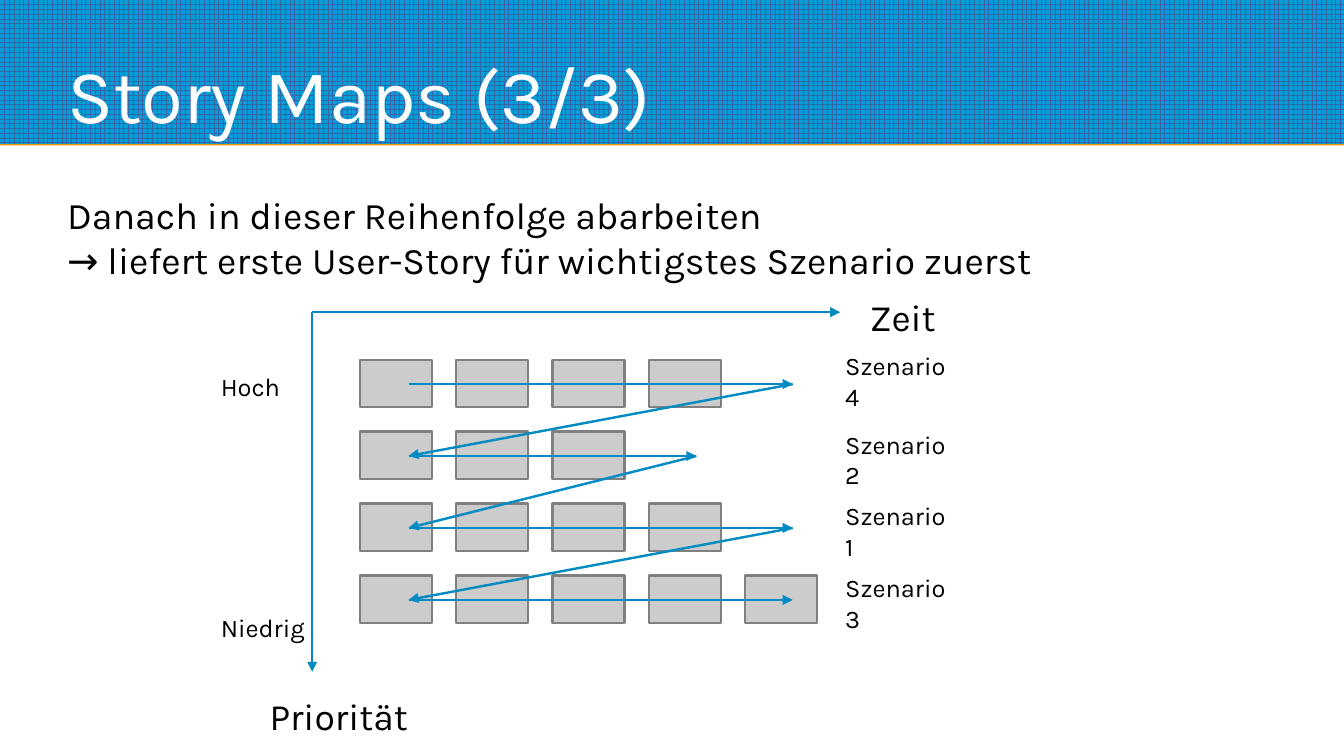
"""Build the story map slide with its scenario rows and reading order."""
from dataclasses import dataclass
from itertools import pairwise

from lxml.etree import SubElement as Sub
from pptx import Presentation
from pptx.dml.color import RGBColor
from pptx.enum.dml import MSO_PATTERN as Pattern
from pptx.enum.shapes import MSO_CONNECTOR as Link, MSO_SHAPE as Shape
from pptx.enum.text import MSO_ANCHOR as Anchor
from pptx.oxml.ns import qn
from pptx.shapes.autoshape import Shape as Box
from pptx.slide import Slide
from pptx.util import Inches, Pt

WHITE = RGBColor(0xFF, 0xFF, 0xFF)
BLACK = RGBColor(0x00, 0x00, 0x00)
BLUE = RGBColor(0x00, 0x9E, 0xDA)
NAVY = RGBColor(0x34, 0x65, 0xA4)
ARROW = RGBColor(0x00, 0x8A, 0xC2)
ORANGE = RGBColor(0xF4, 0x91, 0x00)
CARD = RGBColor(0xCC, 0xCC, 0xCC)
EDGE = RGBColor(0x80, 0x80, 0x80)

FONT = "Karla"
WIDTH, HEIGHT = 11.02, 6.2
LEFT, TOP = 2.95, 2.95
STEP_X, STEP_Y = 0.79, 0.59
CARD_W, CARD_H = 0.59, 0.39
START_X, START_Y = 3.35, 3.15
AXIS_X, AXIS_Y = 2.56, 2.56

Point = tuple[float, float]


@dataclass
class Label:
    text: str
    left: float
    top: float
    width: float
    height: float
    size: float
    color: RGBColor = BLACK
    inset: float = 0.04
    anchor: Anchor = Anchor.MIDDLE
    after: float = 0


@dataclass
class Row:
    name: str
    cards: int
    end: float
    top: float


ROWS = [
    Row("Szenario 4", 4, 6.5, 2.8),
    Row("Szenario 2", 3, 5.71, 3.44),
    Row("Szenario 1", 4, 6.5, 4.03),
    Row("Szenario 3", 5, 6.5, 4.62),
]

LABELS = [
    Label("Story Maps (3/3)", 0.55, 0.1, 9.92, 1.04, 45, WHITE, 0, Anchor.BOTTOM),
    Label("Danach in dieser Reihenfolge abarbeiten\v"
          "→ liefert erste User-Story für wichtigstes Szenario zuerst",
          0.55, 1.57, 10.08, 0.79, 22.2, inset=0, anchor=Anchor.TOP, after=10.5),
    Label("Zeit", 7.09, 2.35, 0.79, 0.5, 22),
    Label("Priorität", 2.17, 5.62, 1.97, 0.5, 22),
    Label("Niedrig", 1.77, 4.82, 0.79, 0.65, 15),
    Label("Hoch", 1.77, 2.99, 0.79, 0.36, 15),
]


def add_rect(slide: Slide, left: float, top: float, width: float, height: float) -> Box:
    rect = slide.shapes.add_shape(
        Shape.RECTANGLE, Inches(left), Inches(top), Inches(width), Inches(height))
    rect.shadow.inherit = False
    return rect


def add_head(slide: Slide) -> None:
    head = add_rect(slide, 0, 0, WIDTH, 1.18)
    head.fill.patterned()
    head.fill.pattern = Pattern.LARGE_GRID
    head.fill.fore_color.rgb = NAVY
    head.fill.back_color.rgb = BLUE
    head.line.fill.background()
    glow = Sub(head.element.spPr.find(qn("a:effectLst")), qn("a:outerShdw"),
               blurRad="0", dist=str(Pt(0.9)), dir="5400000", algn="ctr", rotWithShape="0")
    Sub(glow, qn("a:srgbClr"), val=str(ORANGE))


def add_card(slide: Slide, left: float, top: float) -> None:
    card = add_rect(slide, left, top, CARD_W, CARD_H)
    card.fill.solid()
    card.fill.fore_color.rgb = CARD
    card.line.color.rgb = EDGE
    card.line.width = Pt(1.42)


def add_label(slide: Slide, label: Label) -> None:
    box = slide.shapes.add_textbox(
        Inches(label.left), Inches(label.top), Inches(label.width), Inches(label.height))
    frame = box.text_frame
    frame.word_wrap = True
    frame.vertical_anchor = label.anchor
    frame.margin_left = frame.margin_right = Inches(label.inset)
    frame.margin_top = frame.margin_bottom = Inches(label.inset)
    line = frame.paragraphs[0]
    line.text = label.text
    line.space_after = Pt(label.after)
    for run in line.runs:
        run.font.name = FONT
        run.font.size = Pt(label.size)
        run.font.color.rgb = label.color


def add_arrow(slide: Slide, start: Point, end: Point) -> None:
    arrow = slide.shapes.add_connector(Link.STRAIGHT, *map(Inches, start + end))
    arrow.line.color.rgb = ARROW
    arrow.line.width = Pt(1.42)
    Sub(arrow.line._get_or_add_ln(), qn("a:tailEnd"), type="triangle")
    Sub(arrow.element.spPr, qn("a:effectLst"))


def main() -> None:
    deck = Presentation()
    deck.slide_width, deck.slide_height = Inches(WIDTH), Inches(HEIGHT)
    slide = deck.slides.add_slide(deck.slide_layouts[6])
    add_head(slide)

    route: list[Point] = []
    for i, row in enumerate(ROWS):
        for j in range(row.cards):
            add_card(slide, LEFT + j * STEP_X, TOP + i * STEP_Y)
        add_label(slide, Label(row.name, 6.89, row.top, 0.98, 0.65, 15))
        mid = START_Y + i * STEP_Y
        route += [(START_X, mid), (row.end, mid)]

    for label in LABELS:
        add_label(slide, label)
    for end in [(6.89, AXIS_Y), (AXIS_X, 5.51)]:
        add_arrow(slide, (AXIS_X, AXIS_Y), end)
    for start, end in pairwise(route):
        add_arrow(slide, start, end)
    deck.save("out.pptx")


if __name__ == "__main__":
    main()
